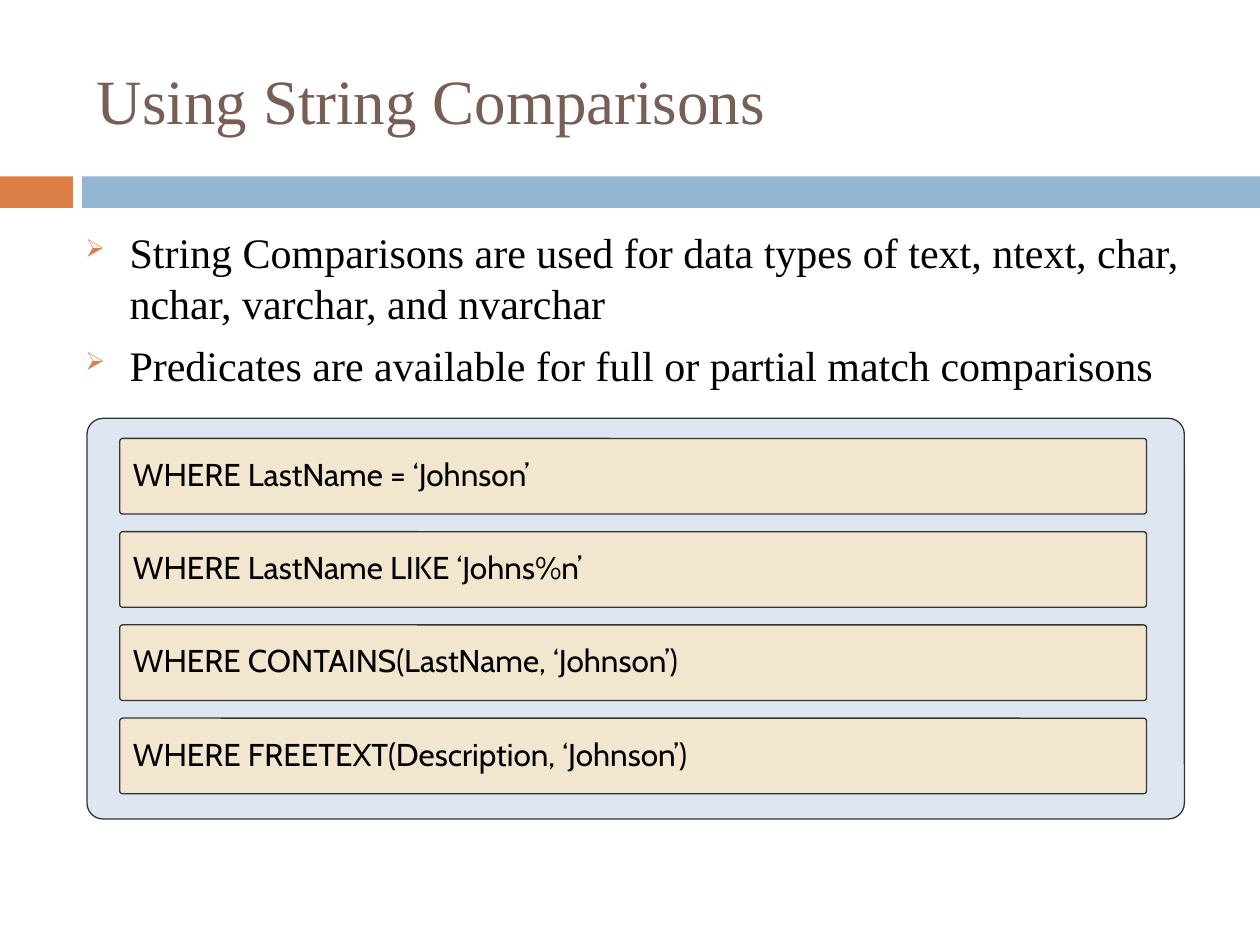
from lxml import etree
from pptx import Presentation
from pptx.dml.color import RGBColor
from pptx.enum.shapes import MSO_SHAPE
from pptx.enum.text import MSO_ANCHOR, PP_ALIGN
from pptx.oxml.ns import qn
from pptx.util import Inches, Pt

RECTANGLE = MSO_SHAPE.RECTANGLE
ROUNDED = MSO_SHAPE.ROUNDED_RECTANGLE
MIDDLE = MSO_ANCHOR.MIDDLE
LEFT = PP_ALIGN.LEFT

ORANGE = RGBColor(0xDD, 0x80, 0x47)
BLUE = RGBColor(0x94, 0xB6, 0xD2)
BROWN = RGBColor(0x77, 0x5F, 0x55)
PALE_BLUE = RGBColor(0xDE, 0xE7, 0xF1)
CREAM = RGBColor(0xF2, 0xE7, 0xCE)
OUTLINE = RGBColor(0x33, 0x33, 0x33)
BLACK = RGBColor(0, 0, 0)

SERIF = "Times New Roman"
SANS = "Cabin"

POINTS = [
    "String Comparisons are used for data types of text, ntext, char, "
    "nchar, varchar, and nvarchar",
    "Predicates are available for full or partial match comparisons",
]
CLAUSES = [
    "WHERE LastName = ‘Johnson’",
    "WHERE LastName LIKE ‘Johns%n’",
    "WHERE CONTAINS(LastName, ‘Johnson’)",
    "WHERE FREETEXT(Description, ‘Johnson’)",
]


def style_runs(paragraph, font_name, size, color):
    """Give every run of a paragraph its font, size and colour."""
    for run in paragraph.runs:
        run.font.name = font_name
        run.font.size = Pt(size)
        run.font.color.rgb = color


def add_panel(slide, kind, left, top, width, height, fill, outlined=False):
    """Add a flat filled shape, with a thin dark outline if asked."""
    panel = slide.shapes.add_shape(
        kind, Inches(left), Inches(top), Inches(width), Inches(height))
    panel.shadow.inherit = False
    panel.fill.solid()
    panel.fill.fore_color.rgb = fill
    if outlined:
        panel.line.color.rgb = OUTLINE
        panel.line.width = Pt(0.75)
    else:
        panel.line.fill.background()
    if kind == ROUNDED:
        panel.adjustments[0] = 0.04
    return panel


def add_bullet(paragraph):
    """Set a hanging indent and a small orange arrow bullet."""
    properties = paragraph._p.get_or_add_pPr()
    properties.set("marL", str(Inches(0.35)))
    properties.set("indent", str(-Inches(0.35)))
    color = etree.SubElement(properties, qn("a:buClr"))
    etree.SubElement(color, qn("a:srgbClr")).set("val", str(ORANGE))
    etree.SubElement(properties, qn("a:buSzPct")).set("val", "60000")
    etree.SubElement(properties, qn("a:buChar")).set("char", "➢")


def add_band(slide, left, top, width, height):
    """Draw the divider: a short orange block, a gap and a long blue bar."""
    block, gap = 0.58, 0.07
    add_panel(slide, RECTANGLE, left, top, block, height, ORANGE)
    add_panel(slide, RECTANGLE, left + block + gap, top,
              width - block - gap, height, BLUE)


def add_title(slide, left, top, width, height):
    """Place the slide title, centred vertically in its box."""
    title = slide.shapes.add_textbox(
        Inches(left), Inches(top), Inches(width), Inches(height)).text_frame
    title.word_wrap = True
    title.vertical_anchor = MIDDLE
    title.text = "Using String Comparisons"
    style_runs(title.paragraphs[0], SERIF, 36, BROWN)


def add_points(slide, left, top, width, height):
    """Place the bulleted statements."""
    body = slide.shapes.add_textbox(
        Inches(left), Inches(top), Inches(width), Inches(height)).text_frame
    body.word_wrap = True
    body.text = "\n".join(POINTS)
    for point in body.paragraphs:
        point.space_before = Pt(7)
        add_bullet(point)
        style_runs(point, SERIF, 24, BLACK)


def add_clauses(slide, left, top, width, height):
    """Draw the rounded panel and stack one row per WHERE clause in it."""
    add_panel(slide, ROUNDED, left, top, width, height, PALE_BLUE, True)
    row_height, pitch = 0.6, 0.74
    for index, clause in enumerate(CLAUSES):
        row = add_panel(slide, ROUNDED, left + 0.26, top + 0.16 + index * pitch,
                        width - 0.56, row_height, CREAM, True)
        row.text_frame.word_wrap = True
        row.text_frame.vertical_anchor = MIDDLE
        row.text_frame.text = clause
        paragraph = row.text_frame.paragraphs[0]
        paragraph.alignment = LEFT
        paragraph.line_spacing = 0.9
        style_runs(paragraph, SANS, 18, BLACK)


def main():
    """Build the slide and save it."""
    presentation = Presentation()
    presentation.slide_width = Inches(10)
    presentation.slide_height = Inches(7.5)
    slide = presentation.slides.add_slide(presentation.slide_layouts[6])
    add_band(slide, 0, 1.4, 10, 0.25)
    add_title(slide, 0.67, 0.25, 8.92, 1.08)
    add_points(slide, 0.58, 1.75, 9.14, 4.8)
    add_clauses(slide, 0.69, 3.32, 8.71, 3.18)
    presentation.save("out.pptx")


if __name__ == "__main__":
    main()
